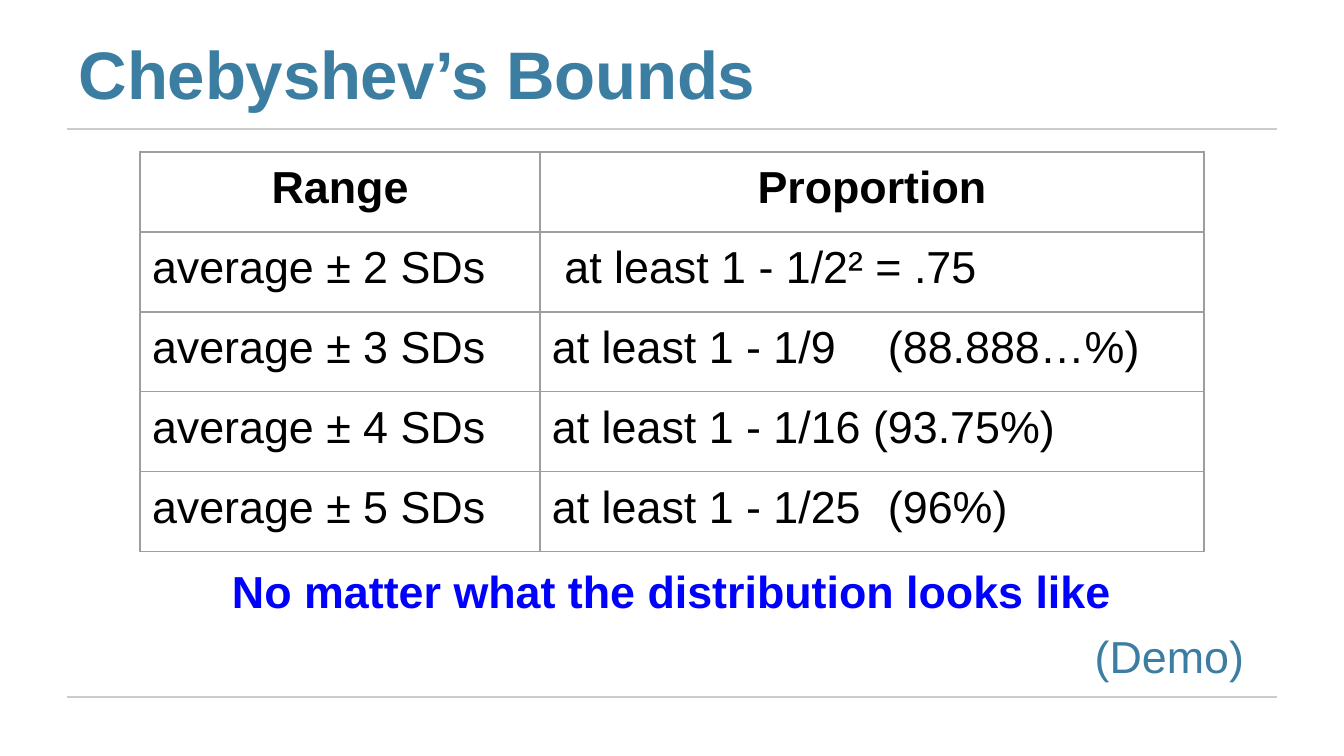
from lxml.etree import SubElement
from pptx import Presentation
from pptx.dml.color import RGBColor
from pptx.enum.shapes import MSO_CONNECTOR
from pptx.enum.text import PP_ALIGN, MSO_ANCHOR
from pptx.oxml import parse_xml
from pptx.oxml.ns import nsdecls, qn
from pptx.util import Pt

SCALE = 914400 / 134.4
COLORS = {"teal": "3B7EA1", "blue": "0000FF", "text": "000000",
          "rule": "CCCCCC", "grid": "9E9E9E"}
HEADERS = ["Range", "Proportion"]
BOUNDS = [
    ("average ± 2 SDs", " at least 1 - 1/2² = .75", None),
    ("average ± 3 SDs", "at least 1 - 1/9\t(88.888…%)", 333),
    ("average ± 4 SDs", "at least 1 - 1/16 (93.75%)", None),
    ("average ± 5 SDs", "at least 1 - 1/25\t(96%)", 346),
]


def px(value):
    return round(value * SCALE)


def rgb(name):
    return RGBColor.from_string(COLORS[name])


def write(para, text, size, color, bold=False, align=PP_ALIGN.LEFT, before=0):
    para.text = text
    para.alignment = align
    para.space_before = Pt(before)
    font = para.font
    font.name, font.size, font.bold = "Arial", Pt(size), bold
    font.color.rgb = rgb(color)


def add_text_frame(page, left, top, width, height, inset):
    frame = page.shapes.add_textbox(px(left), px(top), px(width), px(height)).text_frame
    frame.word_wrap = True
    frame.margin_left = frame.margin_right = frame.margin_bottom = 0
    frame.margin_top = px(inset)
    return frame


def add_rule(page, left, top, width):
    rule = page.shapes.add_connector(
        MSO_CONNECTOR.STRAIGHT, px(left), px(top), px(left + width), px(top))
    rule.line.color.rgb = rgb("rule")
    rule.line.width = Pt(0.75)
    SubElement(rule._element.spPr, qn("a:effectLst"))


def add_title(page, left, top, width, height):
    frame = add_text_frame(page, left, top, width, height, 1)
    write(frame.paragraphs[0], "Chebyshev’s Bounds", 36, "teal", True, before=1)
    for span in frame.paragraphs[0].runs:
        span._r.get_or_add_rPr().set("spc", "-15")


def set_borders(cell):
    props = cell._tc.get_or_add_tcPr()
    for position, side in enumerate(("lnL", "lnR", "lnT", "lnB")):
        props.insert(position, parse_xml(
            f'<a:{side} {nsdecls("a")} w="{Pt(0.75)}"><a:solidFill>'
            f'<a:srgbClr val="{COLORS["grid"]}"/></a:solidFill></a:{side}>'))


def fill_cell(cell, text, header=False, tab=None):
    cell.fill.background()
    set_borders(cell)
    cell.margin_left = cell.margin_right = cell.margin_bottom = 0
    cell.margin_top = px(11)
    cell.vertical_anchor = MSO_ANCHOR.TOP
    para = cell.text_frame.paragraphs[0]
    align = PP_ALIGN.CENTER if header else PP_ALIGN.LEFT
    write(para, text, 24, "text", header, align, 5.8)
    props = para._p.get_or_add_pPr()
    if not header:
        props.set("marL", str(px(12)))
        props.set("indent", "0")
    if tab:
        stops = parse_xml(f'<a:tabLst {nsdecls("a")}><a:tab pos="{px(tab)}" algn="l"/></a:tabLst>')
        props.find(qn("a:defRPr")).addprevious(stops)


def add_bounds_table(page, left, top, widths, row_height):
    count = len(BOUNDS) + 1
    table = page.shapes.add_table(count, len(widths), px(left), px(top),
                                  px(sum(widths)), px(row_height * count)).table
    table.first_row = table.horz_banding = False
    for column, width in zip(table.columns, widths):
        column.width = px(width)
    for row in table.rows:
        row.height = px(row_height)
    for index, header in enumerate(HEADERS):
        fill_cell(table.cell(0, index), header, header=True)
    for index, (spread, proportion, tab) in enumerate(BOUNDS, 1):
        fill_cell(table.cell(index, 0), spread)
        fill_cell(table.cell(index, 1), proportion, tab=tab)


def add_closing(page, left, top, width, height):
    frame = add_text_frame(page, left, top, width, height, 12)
    write(frame.paragraphs[0], "No matter what the distribution looks like",
          24, "blue", True, before=6.5)
    write(frame.add_paragraph(), "(Demo)", 24, "teal", align=PP_ALIGN.RIGHT, before=5.6)


deck = Presentation()
deck.slide_width, deck.slide_height = px(1344), px(756)
page = deck.slides.add_slide(deck.slide_layouts[6])
for rule_top in (129, 697):
    add_rule(page, 67, rule_top, 1210)
add_title(page, 79, 31, 684, 85)
add_bounds_table(page, 140, 152, (400, 664), 80)
add_closing(page, 232, 552, 1012, 132)
deck.save("out.pptx")
